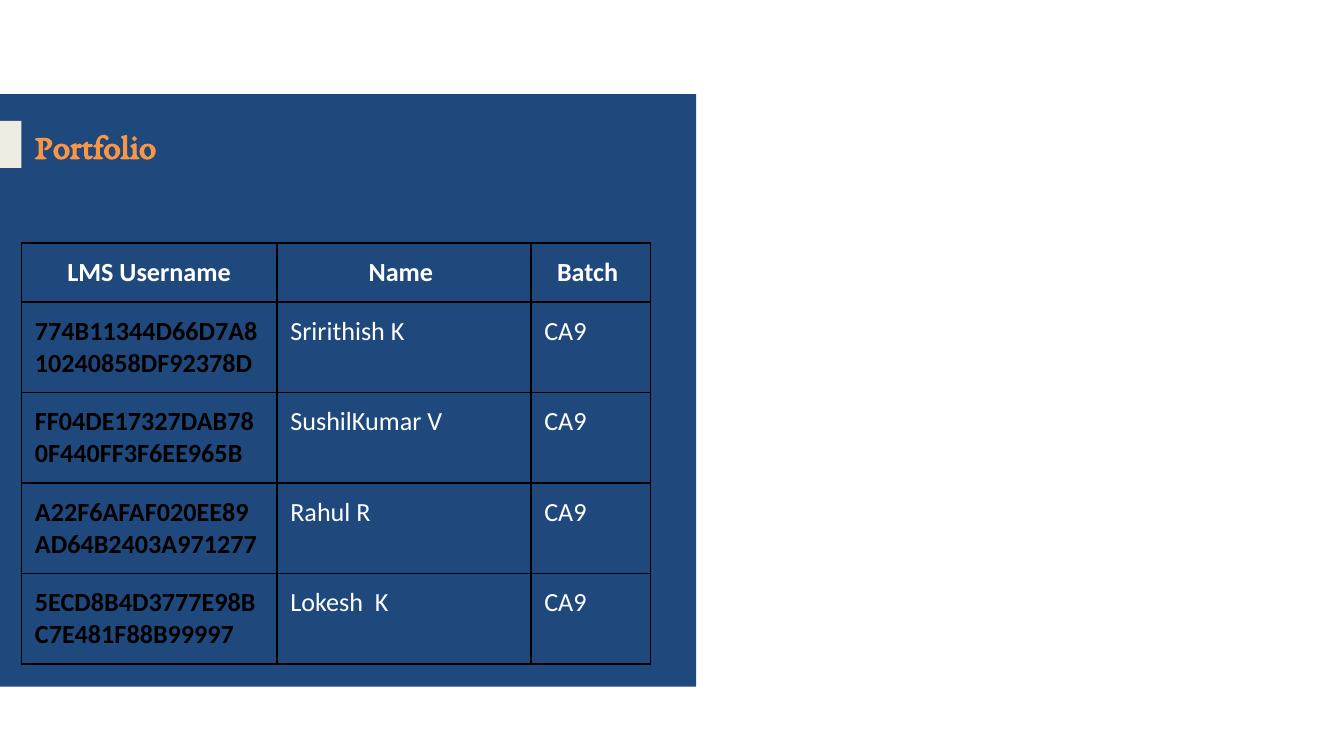
"""Build the portfolio slide with its table of team members."""
from lxml.etree import SubElement
from pptx import Presentation
from pptx.dml.color import RGBColor
from pptx.enum.shapes import MSO_SHAPE
from pptx.enum.text import MSO_ANCHOR, PP_ALIGN
from pptx.oxml.ns import qn
from pptx.util import Inches, Pt

COLORS = {"navy": "1F497D", "cream": "EEECE1", "orange": "F79646",
          "white": "FFFFFF", "black": "000000"}
TITLE = "Portfolio"
HEADINGS = ("LMS Username", "Name ", "Batch ")
BATCH = "CA9"
MEMBERS = [
    ("774B11344D66D7A810240858DF92378D", "Sririthish K"),
    ("FF04DE17327DAB780F440FF3F6EE965B", "SushilKumar V"),
    ("A22F6AFAF020EE89AD64B2403A971277", "Rahul R"),
    ("5ECD8B4D3777E98BC7E481F88B99997", "Lokesh  K"),
]
COLUMN_WIDTHS = (1.9, 1.89, 0.89)
HEADING_HEIGHT, MEMBER_HEIGHT = 0.43, 0.67
PANELS = [("navy", 0.7, 5.18, 4.41), ("cream", 0.9, 0.16, 0.35)]


def rgb(name):
    return RGBColor.from_string(COLORS[name])


def style(paragraph, face, size, color, bold, align=PP_ALIGN.LEFT):
    paragraph.alignment = align
    font = paragraph.font
    font.name, font.size, font.bold = face, Pt(size), bold
    font.color.rgb = rgb(color)


def add_borders(cell):
    properties = cell._tc.get_or_add_tcPr()
    for index, side in enumerate(("lnL", "lnR", "lnT", "lnB")):
        border = properties.makeelement(qn(f"a:{side}"), {"w": str(Pt(1))})
        fill = SubElement(border, qn("a:solidFill"))
        SubElement(fill, qn("a:srgbClr"), val=COLORS["black"])
        properties.insert(index, border)


deck = Presentation()
deck.slide_width = Inches(10)
deck.slide_height = deck.slide_width * 9 // 16
slide = deck.slides.add_slide(deck.slide_layouts[5])

for color, top, width, height in PANELS:
    panel = slide.shapes.add_shape(MSO_SHAPE.RECTANGLE, 0, Inches(top),
                                   Inches(width), Inches(height))
    panel.shadow.inherit = False
    panel.fill.solid()
    panel.fill.fore_color.rgb = rgb(color)
    panel.line.fill.background()

title = slide.shapes.title
slide.shapes._spTree.append(title._element)
title.left, title.top = Inches(0.16), Inches(0.89)
title.width, title.height = Inches(3.74), Inches(0.38)
title.text_frame.text = TITLE
title.text_frame.vertical_anchor = MSO_ANCHOR.MIDDLE
style(title.text_frame.paragraphs[0], "EB Garamond", 18.3, "orange", True)

rows = [HEADINGS] + [(*member, BATCH) for member in MEMBERS]
heights = [HEADING_HEIGHT] + [MEMBER_HEIGHT] * len(MEMBERS)
roster = slide.shapes.add_table(
    len(rows), len(HEADINGS), Inches(0.16), Inches(1.81),
    Inches(sum(COLUMN_WIDTHS)), Inches(sum(heights))).table
roster.horz_banding = False
for column, width in zip(roster.columns, COLUMN_WIDTHS):
    column.width = Inches(width)

for r, (values, height) in enumerate(zip(rows, heights)):
    roster.rows[r].height = Inches(height)
    for c, value in enumerate(values):
        cell = roster.cell(r, c)
        cell.text = value
        cell.margin_left = cell.margin_right = Inches(0.1)
        cell.margin_top = cell.margin_bottom = Inches(0.1)
        cell.fill.background()
        add_borders(cell)
        heading, username = r == 0, c == 0
        style(cell.text_frame.paragraphs[0], "Calibri", 14,
              "black" if username and not heading else "white",
              heading or username,
              PP_ALIGN.CENTER if heading else PP_ALIGN.LEFT)

deck.save("out.pptx")
